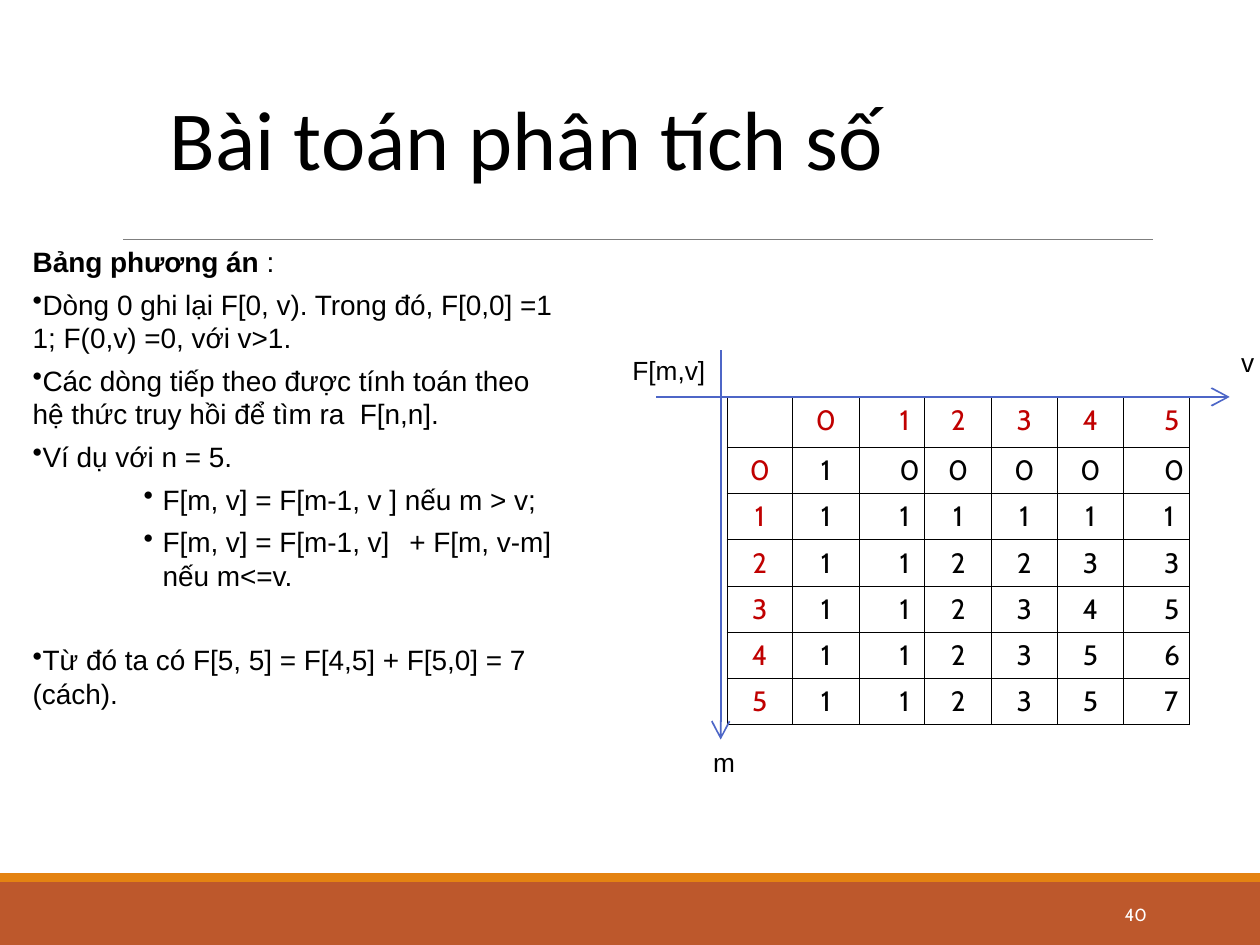
from pptx import Presentation
from pptx.dml.color import RGBColor
from pptx.enum.shapes import MSO_CONNECTOR, MSO_SHAPE
from pptx.enum.text import MSO_ANCHOR, PP_ALIGN
from pptx.oxml.ns import qn
from pptx.util import Inches, Pt
from lxml.etree import SubElement

COLORS = {
    "text": "000000",
    "index": "C00000",
    "axis": "4D66C7",
    "rule": "7F7F7F",
    "footer": "BD582C",
    "stripe": "E48312",
    "page": "FFFFFF",
}


class SlideBuilder:
    def __init__(self, slide):
        self.slide = slide

    def color(self, name):
        return RGBColor.from_string(COLORS[name])

    def bar(self, left, top, width, height, color):
        bar = self.slide.shapes.add_shape(
            MSO_SHAPE.RECTANGLE, Inches(left), Inches(top), Inches(width), Inches(height))
        bar.shadow.inherit = False
        bar.fill.solid()
        bar.fill.fore_color.rgb = self.color(color)
        bar.line.fill.background()

    def line(self, start, end, color, width, arrow=False):
        line = self.slide.shapes.add_connector(
            MSO_CONNECTOR.STRAIGHT, *map(Inches, start), *map(Inches, end))
        line.line.color.rgb = self.color(color)
        line.line.width = Pt(width)
        if arrow:
            SubElement(line.line._get_or_add_ln(), qn("a:tailEnd"), type="arrow", w="lg", len="lg")
        SubElement(line._element.spPr, qn("a:effectLst"))

    def run(self, paragraph, text, size, font="Arial", color="text", bold=False):
        run = paragraph.add_run()
        run.text = text
        run.font.size = Pt(size)
        run.font.name = font
        run.font.bold = bold
        run.font.color.rgb = self.color(color)

    def text_frame(self, left, top, width, height, margins=(0, 0)):
        """Add a wrapping text box with (horizontal, vertical) margins."""
        frame = self.slide.shapes.add_textbox(
            Inches(left), Inches(top), Inches(width), Inches(height)).text_frame
        frame.word_wrap = True
        frame.margin_left = frame.margin_right = Inches(margins[0])
        frame.margin_top = frame.margin_bottom = Inches(margins[1])
        return frame

    def label(self, left, top, width, text):
        paragraph = self.text_frame(left, top, width, 0.25).paragraphs[0]
        self.indent(paragraph, 0.01)
        self.run(paragraph, text, 15)

    def indent(self, paragraph, left, first=0):
        properties = paragraph._p.get_or_add_pPr()
        properties.set("marL", str(Inches(left)))
        properties.set("indent", str(Inches(first)))
        return properties

    def bullet(self, frame, text, level=0, space_before=5.2, tab=None):
        paragraph = frame.add_paragraph()
        paragraph.level = level
        paragraph.space_before = Pt(space_before)
        properties = self.indent(paragraph, *((1.04, -0.15) if level else (0.01, 0)))
        SubElement(properties, qn("a:buChar"), char="•")
        if tab:
            tabs = SubElement(properties, qn("a:tabLst"))
            SubElement(tabs, qn("a:tab"), pos=str(Inches(tab)), algn="l")
        self.run(paragraph, text, 16)

    def borders(self, cell, width):
        properties = cell._tc.get_or_add_tcPr()
        for side in ("lnL", "lnR", "lnT", "lnB"):
            border = SubElement(properties, qn(f"a:{side}"), w=str(Pt(width)))
            fill = SubElement(border, qn("a:solidFill"))
            SubElement(fill, qn("a:srgbClr"), val=COLORS["text"])

    def value_table(self, left, top, rows, column_widths, row_heights, indented_columns):
        table = self.slide.shapes.add_table(
            len(rows), len(column_widths), Inches(left), Inches(top),
            Inches(sum(column_widths)), Inches(sum(row_heights))).table
        table.first_row = table.horz_banding = False
        for column, width in zip(table.columns, column_widths):
            column.width = Inches(width)
        for r, values in enumerate(rows):
            table.rows[r].height = Inches(row_heights[r])
            for c, value in enumerate(values):
                cell = table.cell(r, c)
                self.borders(cell, 0.45)
                cell.fill.background()
                if value == "":
                    continue
                paragraph = cell.text_frame.paragraphs[0]
                paragraph.space_before = Pt(2.9 if r in (1, 2, 6) else 2.6)
                if c in indented_columns:
                    self.indent(paragraph, 0.22)
                else:
                    paragraph.alignment = PP_ALIGN.CENTER
                color = "index" if r == 0 or c == 0 else "text"
                self.run(paragraph, str(value), 16, "Cabin", color)


def main():
    presentation = Presentation()
    presentation.slide_width = Inches(10)
    presentation.slide_height = Inches(7.5)
    builder = SlideBuilder(presentation.slides.add_slide(presentation.slide_layouts[6]))

    builder.line((0.98, 1.9), (9.15, 1.9), "rule", 0.5)
    builder.bar(0, 7, 10, 0.5, "footer")
    builder.bar(0, 6.93, 10, 0.07, "stripe")

    title = builder.text_frame(1.25, 0.76, 6.94, 0.83, (0.1, 0.05)).paragraphs[0]
    title.line_spacing = 0.85
    builder.run(title, "Bài toán phân tích số", 48, "Calibri")

    explanation = builder.text_frame(0.25, 1.94, 4.17, 3.71)
    heading = explanation.paragraphs[0]
    builder.indent(heading, 0.01)
    builder.run(heading, "Bảng phương án ", 16, bold=True)
    builder.run(heading, ":", 16)
    for text in (
        "Dòng 0 ghi lại F[0, v). Trong đó, F[0,0] =1 1; F(0,v) =0, với v>1.",
        "Các dòng tiếp theo được tính toán theo hệ thức truy hồi để tìm ra  F[n,n].",
        "Ví dụ với n = 5.",
    ):
        builder.bullet(explanation, text)
    builder.bullet(explanation, "F[m, v] = F[m-1, v ] nếu m > v;", level=1)
    builder.bullet(explanation, "F[m, v] = F[m-1, v]\t+ F[m, v-m] nếu m<=v.", level=1, tab=3)
    builder.bullet(explanation, "Từ đó ta có F[5, 5] = F[4,5] + F[5,0] = 7 (cách).", space_before=29)

    builder.label(5.01, 2.81, 0.64, "F[m,v]")
    builder.label(5.65, 5.92, 0.21, "m")
    builder.label(9.84, 2.75, 0.14, "v")

    partition_counts = [
        [1, 0, 0, 0, 0, 0],
        [1, 1, 1, 1, 1, 1],
        [1, 1, 2, 2, 3, 3],
        [1, 1, 2, 3, 4, 5],
        [1, 1, 2, 3, 5, 6],
        [1, 1, 2, 3, 5, 7],
    ]
    rows = [["", *range(6)]] + [[m, *counts] for m, counts in enumerate(partition_counts)]
    builder.value_table(
        5.77, 3.15, rows,
        column_widths=[0.53 if c % 2 else 0.52 for c in range(7)],
        row_heights=[0.27] + [0.36] * 6,
        indented_columns=(2, 6))
    builder.line((5.21, 3.15), (9.76, 3.15), "axis", 1, arrow=True)
    builder.line((5.72, 2.78), (5.72, 5.87), "axis", 1, arrow=True)

    page_frame = builder.text_frame(8.12, 7.06, 1.08, 0.4, (0.1, 0.05))
    page_frame.vertical_anchor = MSO_ANCHOR.MIDDLE
    page_number = page_frame.paragraphs[0]
    page_number.alignment = PP_ALIGN.RIGHT
    builder.run(page_number, "40", 10, "Cabin", "page")

    presentation.save("out.pptx")


if __name__ == "__main__":
    main()
